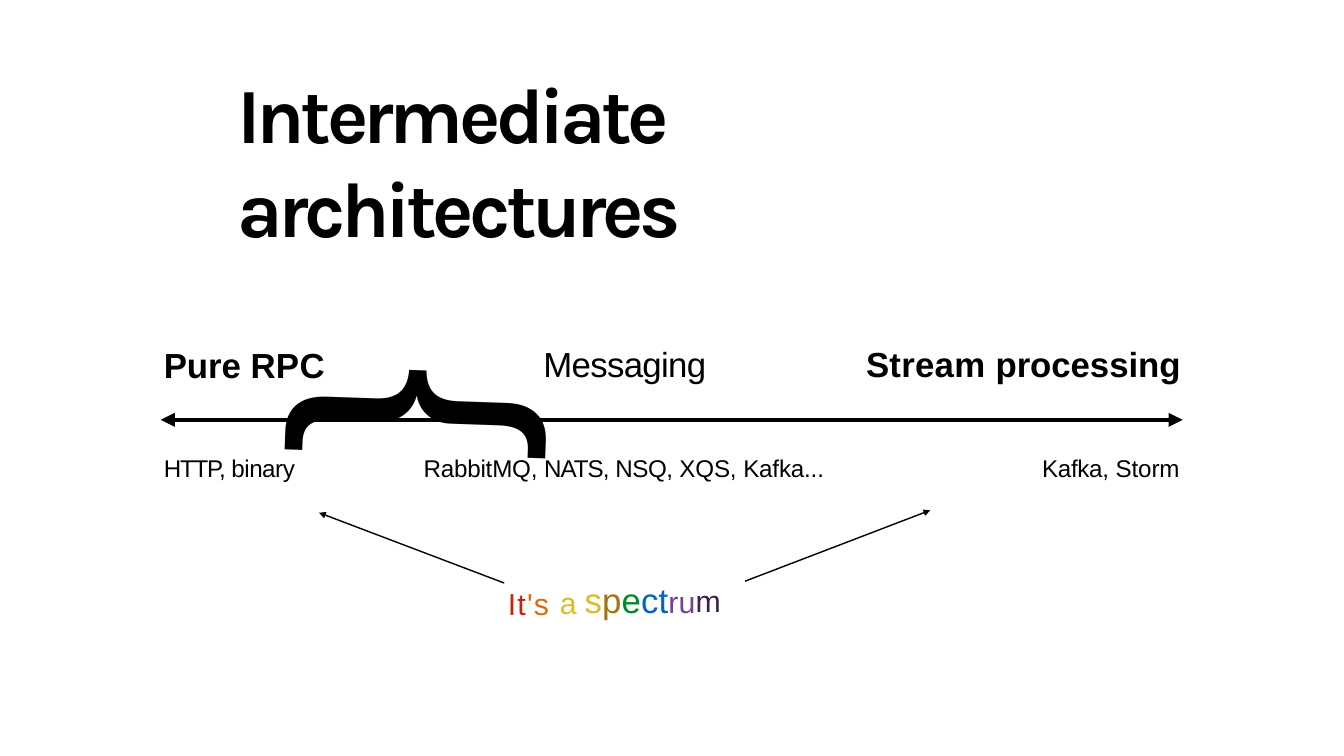
import math
import pptx
import pptx.dml.color
import pptx.enum.shapes
import pptx.enum.text
import pptx.oxml.ns
import pptx.util
import lxml.etree

Inches = pptx.util.Inches
RGBColor = pptx.dml.color.RGBColor

BLACK = RGBColor(0x00, 0x00, 0x00)
RED = RGBColor(0xC8, 0x25, 0x06)
ORANGE = RGBColor(0xDE, 0x6A, 0x10)
YELLOW = RGBColor(0xDC, 0xBD, 0x23)
BROWN = RGBColor(0xA3, 0x75, 0x12)
GREEN = RGBColor(0x00, 0x88, 0x2B)
BLUE = RGBColor(0x03, 0x65, 0xC0)
PURPLE = RGBColor(0x77, 0x3F, 0x9B)
VIOLET = RGBColor(0x3B, 0x1F, 0x4E)

HEAD = 41
LABEL = 28.5
SMALL = 61.5  # drawn smaller because its runs carry a baseline shift


def add_run(para, text, font="Arial", size=HEAD, color=BLACK, bold=False, track=0, base=0):
    """Add a run; track is letter spacing in points, base a shift in percent."""
    run = para.add_run()
    run.text = text
    run.font.name = font
    run.font.size = pptx.util.Pt(size)
    run.font.bold = bold
    run.font.color.rgb = color
    props = run.font._element
    props.set("spc", str(round(track * 100)))
    if base:
        props.set("baseline", str(base * 1000))


def set_frame(shape, left=0.01, top=0.02):
    """Make the text frame plain and return its first paragraph."""
    frame = shape.text_frame
    frame.word_wrap = True
    frame.auto_size = pptx.enum.text.MSO_AUTO_SIZE.NONE
    frame.vertical_anchor = pptx.enum.text.MSO_ANCHOR.TOP
    frame.margin_left, frame.margin_top = Inches(left), Inches(top)
    frame.margin_right = frame.margin_bottom = 0
    para = frame.paragraphs[0]
    para.alignment = pptx.enum.text.PP_ALIGN.LEFT
    return para


def add_text(slide, x, y, w, h, runs, **style):
    """Add a text box; each run is (text, own format) on top of the shared style."""
    box = slide.shapes.add_textbox(Inches(x), Inches(y), Inches(w), Inches(h))
    para = set_frame(box)
    for text, own in runs:
        add_run(para, text, **{**style, **own})
    return box


def add_line(slide, x1, y1, x2, y2, width):
    line = slide.shapes.add_connector(
        pptx.enum.shapes.MSO_CONNECTOR.STRAIGHT,
        Inches(x1), Inches(y1), Inches(x2), Inches(y2))
    line.line.color.rgb = BLACK
    line.line.width = pptx.util.Pt(width)
    lxml.etree.SubElement(line.element.spPr, pptx.oxml.ns.qn("a:effectLst"))


def add_tip(slide, x, y, angle, size):
    """Add a solid arrowhead with its point at x, y, as long as it is wide."""
    cos, sin = math.cos(angle), math.sin(angle)
    back = [(x - size * (cos + side * sin / 2), y - size * (sin - side * cos / 2))
            for side in (1, -1)]
    points = [(Inches(px), Inches(py)) for px, py in back]
    build = slide.shapes.build_freeform(Inches(x), Inches(y))
    build.add_line_segments(points, close=True)
    tip = build.convert_to_shape()
    tip.shadow.inherit = False
    tip.fill.solid()
    tip.fill.fore_color.rgb = BLACK
    tip.line.fill.background()


def add_arrow(slide, x1, y1, x2, y2, width, size, both=False):
    """Add a line from x1, y1 to an arrowhead at x2, y2, or one at both ends."""
    angle = math.atan2(y2 - y1, x2 - x1)
    dx, dy = 0.9 * size * math.cos(angle), 0.9 * size * math.sin(angle)
    add_line(slide, x1 + both * dx, y1 + both * dy, x2 - dx, y2 - dy, width)
    add_tip(slide, x2, y2, angle, size)
    if both:
        add_tip(slide, x1, y1, angle + math.pi, size)


def add_title(slide, x, y, w, h):
    title = slide.shapes.title
    title.left, title.top = Inches(x), Inches(y)
    title.width, title.height = Inches(w), Inches(h)
    add_run(set_frame(title), "Intermediate architectures",
            font="Karla", size=92, bold=True, track=-5.5)


def add_scale(slide, x, y, w):
    """Draw the axis with its heads above and its samples below."""
    heads = [
        (0.04, 0.01, 2.72, True, [("Pure ", -0.1), ("RPC", 0.4)]),
        (6.25, -0.01, 2.72, False, [("Messaging", -0.8)]),
        (11.53, -0.01, 5.2, True, [("Stream ", 0.3), ("processing", -0.1)]),
    ]
    samples = [
        (0.04, 2.25, [("HTTP, ", -1.35), ("binary", -0.5)]),
        (4.29, 6.8, [("RabbitMQ, ", -0.2), ("NATS, ", -1.1), ("NSQ, ", -0.5),
                     ("XQS, ", -0.15), ("Kafka...", -0.2)]),
        (14.41, 2.4, [("Kafka, ", -0.3), ("Storm", -0.1)]),
    ]
    for dx, dy, wide, bold, parts in heads:
        add_text(slide, x + dx, y + dy, wide, 0.72,
                 [(text, {"track": track}) for text, track in parts], bold=bold)
    add_arrow(slide, x, y + 1.27, x + w, y + 1.27, 4.12, 0.23, both=True)
    for dx, wide, parts in samples:
        add_text(slide, x + dx, y + 1.79, wide, 0.51,
                 [(text, {"track": track}) for text, track in parts], size=LABEL)


def add_note(slide, x, y, w):
    """Draw the coloured words and the two arrows that spread from them."""
    add_text(slide, x + 3.08, y + 0.83, 3.86, 0.76, [
        ("It", dict(color=RED, size=SMALL, base=-3, track=1.4)),
        ("'s ", dict(color=ORANGE, size=SMALL, base=-3, track=1.4)),
        ("a ", dict(color=YELLOW, size=SMALL, base=-2, track=-0.5)),
        ("s", dict(color=YELLOW)),
        ("p", dict(color=BROWN)),
        ("e", dict(color=GREEN)),
        ("ct", dict(color=BLUE)),
        ("ru", dict(color=PURPLE, size=SMALL, base=1, track=0.2)),
        ("m", dict(color=VIOLET, size=SMALL, base=2, track=0.2)),
    ], track=0.1)
    add_arrow(slide, x + 3.03, y + 1.2, x, y + 0.05, 1.65, 0.11)
    add_arrow(slide, x + 6.97, y + 1.17, x + w, y + 0.01, 1.65, 0.11)


def add_brace(slide, x, y, w, h):
    brace = add_text(slide, x, y, w, h, [("}", {})], size=329.5, track=-0.2)
    para = set_frame(brace, left=0, top=0)
    para.line_spacing = pptx.util.Pt(329.8)
    brace.rotation = 272


def main():
    deck = pptx.Presentation()
    deck.slide_width, deck.slide_height = Inches(21.99), Inches(12.37)
    slide = deck.slides.add_slide(deck.slide_layouts.get_by_name("Title Only"))
    add_title(slide, 3.88, 1.05, 14.22, 1.57)
    add_scale(slide, 2.63, 5.6, 16.72)
    add_note(slide, 5.22, 8.34, 10)
    add_brace(slide, 4.27, 2.79, 4.84, 4.58)
    deck.save("out.pptx")


if __name__ == "__main__":
    main()
